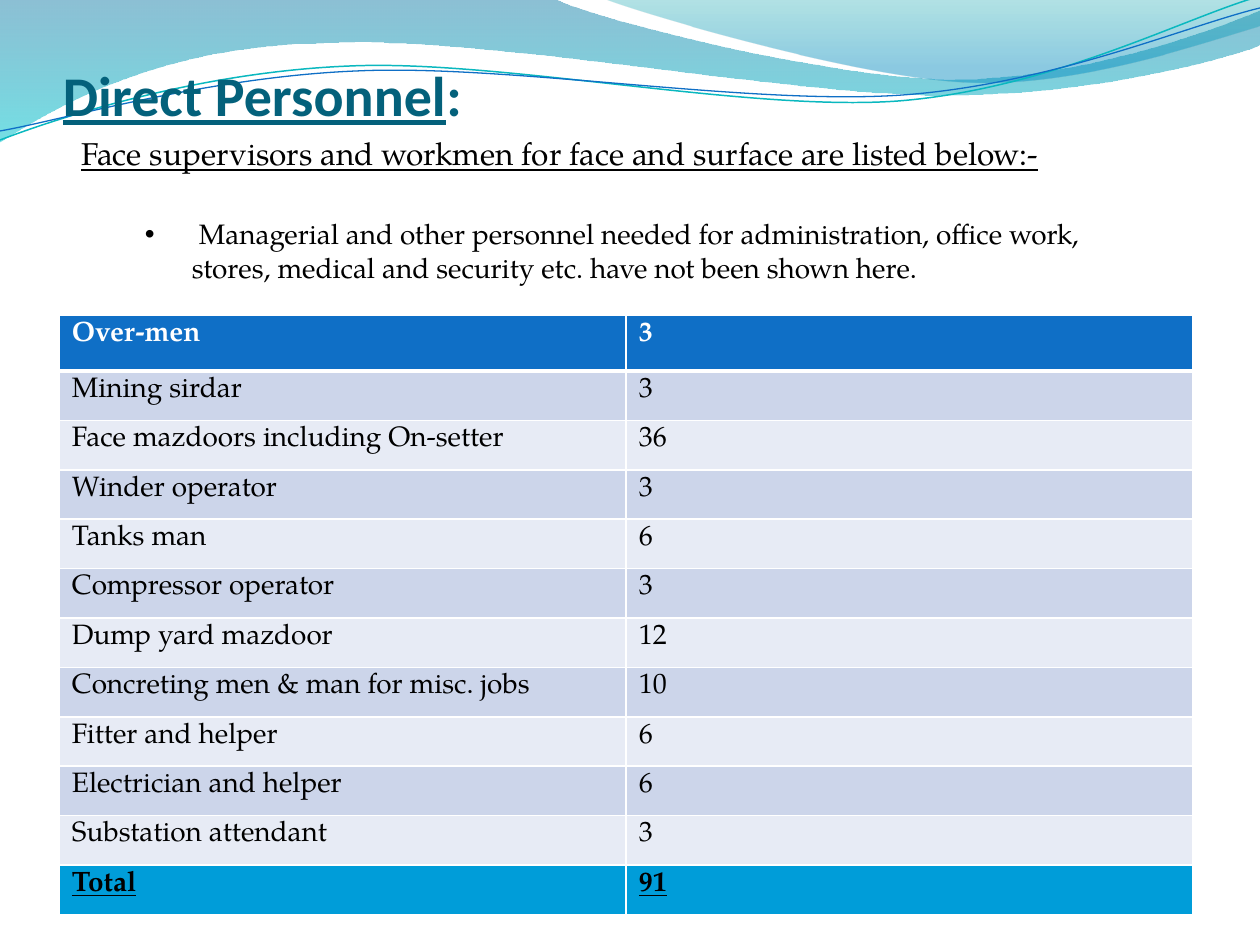
from dataclasses import dataclass

from lxml import etree
from pptx import Presentation
from pptx.dml.color import RGBColor
from pptx.enum.text import MSO_ANCHOR
from pptx.oxml.ns import qn
from pptx.util import Pt

BOTTOM, TOP = MSO_ANCHOR.BOTTOM, MSO_ANCHOR.TOP
EMU_PER_PX = 914400 / 126


@dataclass(frozen=True)
class Theme:
    heading_font: str = "Calibri"
    body_font: str = "TeX Gyre Pagella"
    title_size: int = 32
    lead_size: int = 18
    body_size: int = 16
    title: str = "04617B"
    ink: str = "000000"
    white: str = "FFFFFF"
    header: str = "0F6FC6"
    bands: tuple = ("CCD5EA", "E7EBF5")
    total: str = "009DD9"
    teal_line: str = "0AB8BF"
    # Each stop: position, colour, opacity in percent
    wide_wave: tuple = ((0, "0074A1", 45), (1, "00C6CF", 55))
    right_wave: tuple = ((0, "00A1A9", 30), (0.8, "008BBF", 45))


THEME = Theme()

# A segment of one point is a straight line, one of three points a Bezier curve.
WIDE_WAVE = [
    ((0, 0),), ((554, -1),),
    ((600, 21), (837, 79), (955, 79)), ((1075, 79), (1207, 33), (1260, 11)),
    ((1261, 45),),
    ((1239, 55), (1096, 96), (940, 95)), ((784, 95), (481, 35), (324, 43)),
    ((163, 45), (58, 105), (-1, 142)),
]
RIGHT_WAVE = [
    ((604, -1),),
    ((641, 14), (859, 78), (969, 82)), ((1079, 87), (1211, 40), (1260, 26)),
    ((1260, 0),),
]
TEAL_LINE = [
    ((0, 140),),
    ((60, 117), (199, 72), (349, 66)), ((498, 59), (747, 112), (898, 101)),
    ((1050, 89), (1182, 19), (1257, -3)),
]
BLUE_LINE = [
    ((0, 131),),
    ((59, 121), (207, 77), (357, 71)), ((508, 64), (752, 106), (903, 95)),
    ((1053, 84), (1186, 26), (1260, 8)),
]
STAFF = [
    ("Over-men", 3),
    ("Mining sirdar", 3),
    ("Face mazdoors including On-setter", 36),
    ("Winder operator", 3),
    ("Tanks man", 6),
    ("Compressor operator", 3),
    ("Dump yard mazdoor", 12),
    ("Concreting men & man for misc. jobs", 10),
    ("Fitter and helper", 6),
    ("Electrician and helper", 6),
    ("Substation attendant", 3),
    ("Total", 91),
]


def px(length):
    return round(length * EMU_PER_PX)


def rgb(colour):
    return RGBColor.from_string(colour)


def write(para, text, font=THEME.body_font, size=THEME.body_size,
          colour=THEME.ink, bold=False, underline=False):
    span = para.add_run()
    span.text = text
    span.font.name = font
    span.font.size = Pt(size)
    span.font.color.rgb = rgb(colour)
    span.font.bold = bold
    span.font.underline = underline


def bend(shape, segments):
    """Turn the straight sides that have control points into Bezier curves."""
    sides = list(shape._element.iter(qn("a:lnTo")))
    for side, segment in zip(sides, segments[1:]):
        if len(segment) == 3:
            curve = etree.Element(qn("a:cubicBezTo"))
            for x, y in segment:
                etree.SubElement(curve, qn("a:pt"), x=str(px(x) - shape.left),
                                 y=str(px(y) - shape.top))
            side.getparent().replace(side, curve)


def add_bullet(para, indent, hanging):
    props = para._p.get_or_add_pPr()
    props.set("marL", str(px(indent)))
    props.set("indent", str(-px(hanging)))
    etree.SubElement(props, qn("a:buFont")).set("typeface", "Arial")
    etree.SubElement(props, qn("a:buChar")).set("char", "•")


def set_border(cell, side, width):
    line = etree.SubElement(cell._tc.get_or_add_tcPr(), qn(f"a:ln{side}"), w=str(Pt(width)))
    fill = etree.SubElement(line, qn("a:solidFill"))
    etree.SubElement(fill, qn("a:srgbClr"), val=THEME.white)


class SlideBuilder:
    def __init__(self, slide, theme):
        self.slide = slide
        self.theme = theme

    def outline(self, segments, closed):
        first, *rest = [(px(x), px(y)) for x, y in (segment[-1] for segment in segments)]
        builder = self.slide.shapes.build_freeform(*first, scale=1.0)
        builder.add_line_segments(rest, close=closed)
        shape = builder.convert_to_shape()
        bend(shape, segments)
        shape.shadow.inherit = False
        return shape

    def wave(self, segments, stops):
        shape = self.outline(segments, closed=True)
        shape.line.fill.background()
        shape.fill.gradient()
        shape.fill.gradient_angle = 270
        for stop, (position, colour, opacity) in zip(shape.fill.gradient_stops, stops):
            stop.position = position
            stop.color.rgb = rgb(colour)
            for node in stop._gs.iter(qn("a:srgbClr")):
                etree.SubElement(node, qn("a:alpha"), val=str(opacity * 1000))

    def wave_line(self, segments, colour, width):
        shape = self.outline(segments, closed=False)
        shape.fill.background()
        shape.line.color.rgb = rgb(colour)
        shape.line.width = Pt(width)

    def text_box(self, left, top, width, height, anchor=TOP, inset=13, bottom=6):
        """Add an empty wrapping box and return its first paragraph."""
        box = self.slide.shapes.add_textbox(px(left), px(top), px(width), px(height))
        frame = box.text_frame
        frame.word_wrap = True
        frame.vertical_anchor = anchor
        frame.margin_left = frame.margin_right = px(inset)
        frame.margin_top, frame.margin_bottom = px(6), px(bottom)
        return frame.paragraphs[0]

    def staff_table(self, rows, left, top, width, height, header_height):
        frame = self.slide.shapes.add_table(len(rows), 2, px(left), px(top),
                                            px(width), px(height))
        table = frame.table
        table.first_row = table.horz_banding = False
        last = len(rows) - 1
        body_height = (height - header_height) / last
        for index, values in enumerate(rows):
            table.rows[index].height = px(header_height if index == 0 else body_height)
            fill = self.theme.bands[(index - 1) % 2]
            style = {}
            if index == 0:
                fill, style = self.theme.header, {"colour": self.theme.white, "bold": True}
            elif index == last:
                fill, style = self.theme.total, {"bold": True, "underline": True}
            for column, value in enumerate(values):
                cell = table.cell(index, column)
                cell.margin_left = cell.margin_right = px(13)
                cell.margin_top = cell.margin_bottom = px(6)
                widths = {"L": 1, "R": 1, "T": 3 if index == 1 else 1,
                          "B": 3 if index == 0 else 1}
                for side, line_width in widths.items():
                    set_border(cell, side, line_width)
                cell.fill.solid()
                cell.fill.fore_color.rgb = rgb(fill)
                write(cell.text_frame.paragraphs[0], str(value), **style)


def main():
    deck = Presentation()
    deck.slide_width, deck.slide_height = px(1260), px(945)
    page = SlideBuilder(deck.slides.add_slide(deck.slide_layouts[6]), THEME)

    page.wave(WIDE_WAVE, THEME.wide_wave)
    page.wave(RIGHT_WAVE, THEME.right_wave)
    page.wave_line(TEAL_LINE, THEME.teal_line, 0.85)
    page.wave_line(BLUE_LINE, THEME.header, 0.75)

    title = page.text_box(63, 40, 1134, 88, anchor=BOTTOM, inset=0, bottom=0)
    heading = {"font": THEME.heading_font, "size": THEME.title_size,
               "colour": THEME.title, "bold": True}
    write(title, "Direct Personnel", underline=True, **heading)
    write(title, ":", **heading)

    page.staff_table(STAFF, 59, 315, 1134, 600, header_height=56)

    lead = page.text_box(68, 128, 1103, 50)
    write(lead, "Face supervisors and workmen for face and surface are listed below:-",
          size=THEME.lead_size, underline=True)

    note = page.text_box(69, 211, 1092, 80)
    add_bullet(note, indent=110, hanging=47)
    write(note, " Managerial and other personnel needed for administration, office work, "
                "stores, medical and security etc. have not been shown here.")

    deck.save("out.pptx")


if __name__ == "__main__":
    main()
